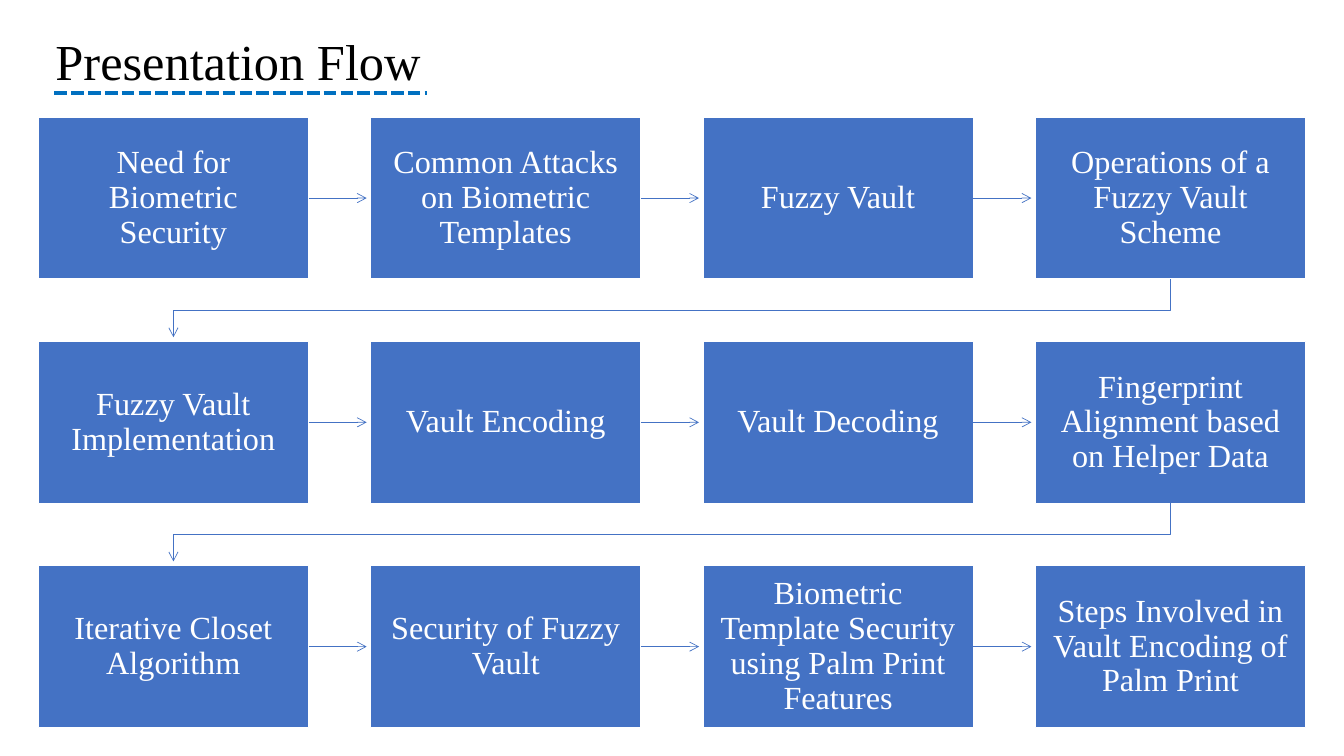
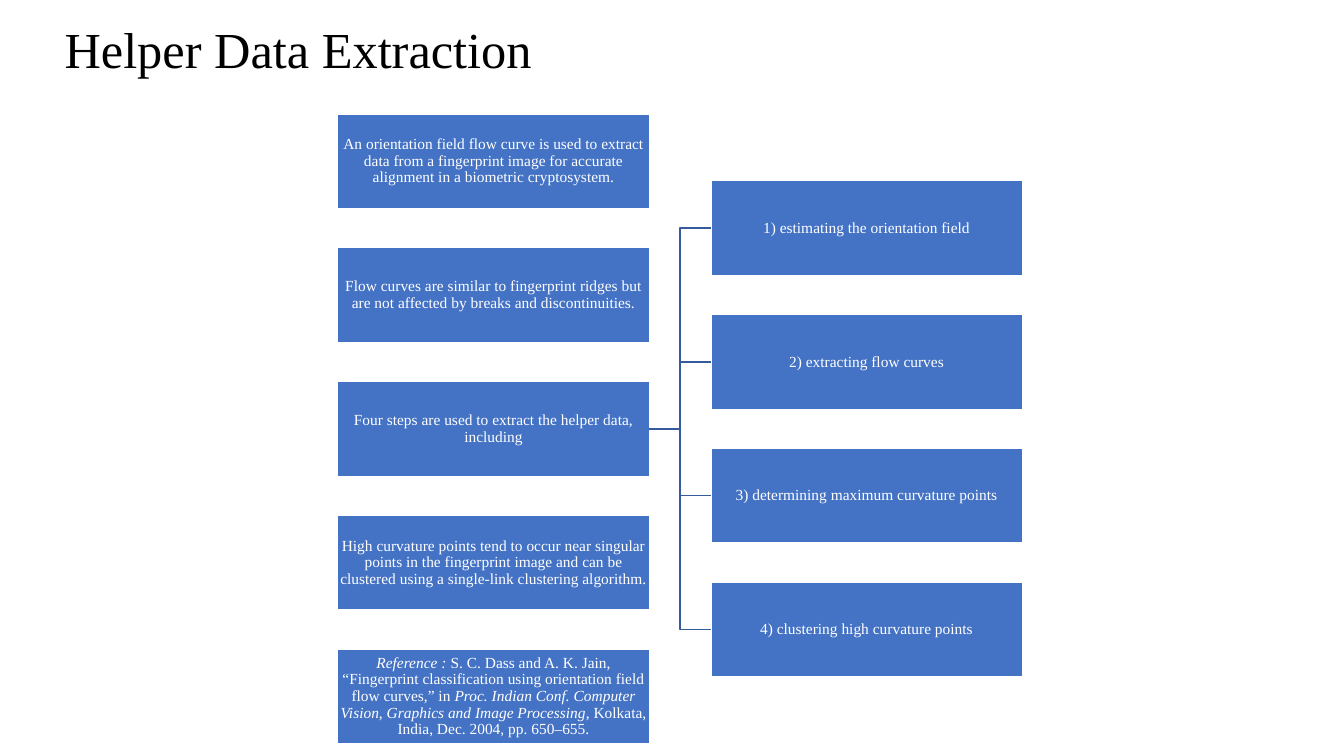
import pptx
import pptx.dml.color
import pptx.enum.dml
import pptx.enum.shapes
import pptx.enum.text
import pptx.oxml
import pptx.oxml.ns
import pptx.util
from lxml import etree

Inches = pptx.util.Inches
RGBColor = pptx.dml.color.RGBColor
Align = pptx.enum.text.PP_ALIGN
Connector = pptx.enum.shapes.MSO_CONNECTOR

# Content
FLOW_TITLE = "Presentation Flow"
FLOW_ROWS = [
    ["Need for Biometric Security", "Common Attacks on Biometric Templates",
     "Fuzzy Vault", "Operations of a Fuzzy Vault Scheme"],
    ["Fuzzy Vault Implementation", "Vault Encoding", "Vault Decoding",
     "Fingerprint Alignment based on Helper Data"],
    ["Iterative Closet Algorithm", "Security of Fuzzy Vault",
     "Biometric Template Security using Palm Print Features",
     "Steps Involved in Vault Encoding of Palm Print"],
]
HELPER_TITLE = "Helper Data Extraction"
# Each statement is a list of (text, italic) runs
STATEMENTS = [
    [("An orientation field flow curve is used to extract data from a fingerprint "
      "image for accurate alignment in a biometric cryptosystem.", False)],
    [("Flow curves are similar to fingerprint ridges but are not affected by "
      "breaks and discontinuities.", False)],
    [("Four steps are used to extract the helper data, including", False)],
    [("High curvature points tend to occur near singular points in the fingerprint "
      "image and can be clustered using a single-link clustering algorithm.", False)],
    [("Reference : ", True),
     ("S. C. Dass and A. K. Jain, “Fingerprint classification using orientation "
      "field flow curves,” in ", False),
     ("Proc. Indian Conf. Computer Vision, Graphics and Image Processing", True),
     (", Kolkata, India, Dec. 2004, pp. 650–655.", False)],
]
STEPS_PARENT = 2
STEPS = ["1) estimating the orientation field", "2) extracting flow curves",
         "3) determining maximum curvature points", "4) clustering high curvature points"]

# Shared style
FONT = "Times New Roman"
BLACK = RGBColor(0x00, 0x00, 0x00)
WHITE = RGBColor(0xFF, 0xFF, 0xFF)
BOX_BLUE = RGBColor(0x44, 0x72, 0xC4)
BRANCH_BLUE = RGBColor(0x36, 0x5B, 0x9D)
RULE_BLUE = RGBColor(0x00, 0x70, 0xC0)
LINE_SPACING = 0.9

# Flow grid, in inches
FLOW_LEFT, FLOW_TOP = 0.38, 1.16
FLOW_WIDTH, FLOW_HEIGHT = 2.68, 1.61
FLOW_COLUMN_STEP, FLOW_ROW_STEP = (10.27 - FLOW_LEFT) / 3, (5.61 - FLOW_TOP) / 2
ARROW_GAP = 0.04

# Helper data tree, in inches
TREE_LEFT, TREE_TOP = 3.35, 1.13
TREE_WIDTH, TREE_HEIGHT = 3.09, 0.94
TREE_COLUMN_STEP, TREE_ROW_STEP = 3.7, (6.44 - TREE_TOP) / 4


def write_runs(paragraph, runs, size, color):
    paragraph.line_spacing = LINE_SPACING
    for text, italic in runs:
        run = paragraph.add_run()
        run.text = text
        font = run.font
        font.name, font.size = FONT, pptx.util.Pt(size)
        font.color.rgb = color
        if italic:
            font.italic = True


def add_titled_slide(presentation, title, left, top):
    slide = presentation.slides.add_slide(presentation.slide_layouts[5])
    shape = slide.shapes.title
    shape.left, shape.top = Inches(left), Inches(top)
    shape.width, shape.height = Inches(12.58), Inches(0.8)
    frame = shape.text_frame
    frame.word_wrap = True
    frame.auto_size = pptx.enum.text.MSO_AUTO_SIZE.NONE
    frame.vertical_anchor = pptx.enum.text.MSO_ANCHOR.MIDDLE
    frame.paragraphs[0].alignment = Align.LEFT
    write_runs(frame.paragraphs[0], [(title, False)], 36, BLACK)
    return slide


def add_box(slide, left, top, width, height, runs, size, inset_x, inset_y):
    shape = slide.shapes.add_shape(
        pptx.enum.shapes.MSO_SHAPE.RECTANGLE,
        Inches(left), Inches(top), Inches(width), Inches(height))
    shape.shadow.inherit = False
    shape.fill.solid()
    shape.fill.fore_color.rgb = BOX_BLUE
    style_line(shape, WHITE, 1)
    frame = shape.text_frame
    frame.word_wrap = True
    frame.vertical_anchor = pptx.enum.text.MSO_ANCHOR.MIDDLE
    frame.margin_left = frame.margin_right = Inches(inset_x)
    frame.margin_top = frame.margin_bottom = Inches(inset_y)
    frame.paragraphs[0].alignment = Align.CENTER
    write_runs(frame.paragraphs[0], runs, size, WHITE)
    return shape


def style_line(shape, color, width):
    shape.line.color.rgb = color
    shape.line.width = pptx.util.Pt(width)


def add_arrowhead(shape):
    line = shape.line._get_or_add_ln()
    etree.SubElement(line, pptx.oxml.ns.qn("a:tailEnd"), type="arrow")


def add_line(slide, kind, start, end, color, width):
    points = [Inches(value) for value in (*start, *end)]
    connector = slide.shapes.add_connector(kind, *points)
    style_line(connector, color, width)
    etree.SubElement(connector._element.spPr, pptx.oxml.ns.qn("a:effectLst"))
    return connector


def add_row_return(slide, start_x, end_x, top, bottom):
    """Arrow from the last box of a row to the first box of the next."""
    middle = (top + bottom + ARROW_GAP) / 2
    builder = slide.shapes.build_freeform(Inches(start_x), Inches(top))
    builder.add_line_segments(
        [(Inches(x), Inches(y)) for x, y in
         ((start_x, middle), (end_x, middle), (end_x, bottom))], close=False)
    shape = builder.convert_to_shape()
    shape.shadow.inherit = False
    shape.fill.background()
    style_line(shape, BOX_BLUE, 0.5)
    add_arrowhead(shape)


def build_flow(presentation):
    slide = add_titled_slide(presentation, FLOW_TITLE, 0.45, 0.24)
    for row, labels in enumerate(FLOW_ROWS):
        top = FLOW_TOP + row * FLOW_ROW_STEP
        for column, label in enumerate(labels):
            left = FLOW_LEFT + column * FLOW_COLUMN_STEP
            add_box(slide, left, top, FLOW_WIDTH, FLOW_HEIGHT,
                    [(label, False)], 23, 0.13, 0.14)
            if column < len(labels) - 1:
                middle = top + FLOW_HEIGHT / 2
                arrow = add_line(slide, Connector.STRAIGHT,
                                 (left + FLOW_WIDTH, middle),
                                 (left + FLOW_COLUMN_STEP - ARROW_GAP, middle),
                                 BOX_BLUE, 0.5)
                add_arrowhead(arrow)
        if row < len(FLOW_ROWS) - 1:
            add_row_return(slide, left + FLOW_WIDTH / 2, FLOW_LEFT + FLOW_WIDTH / 2,
                           top + FLOW_HEIGHT, top + FLOW_ROW_STEP - ARROW_GAP)

    # Dashed rule under the title
    rule = add_line(slide, Connector.STRAIGHT, (0.54, 0.92), (4.24, 0.92), RULE_BLUE, 3)
    rule.line.dash_style = pptx.enum.dml.MSO_LINE.SQUARE_DOT


def build_helper_data(presentation):
    slide = add_titled_slide(presentation, HELPER_TITLE, 0.54, 0.12)

    def add_tree_box(column, row, runs):
        return add_box(slide, TREE_LEFT + column * TREE_COLUMN_STEP,
                       TREE_TOP + row * TREE_ROW_STEP,
                       TREE_WIDTH, TREE_HEIGHT, runs, 11, 0.01, 0.01)

    statements = [add_tree_box(0, row, runs) for row, runs in enumerate(STATEMENTS)]

    # Steps sit half a row lower and branch from their statement
    for row, step in enumerate(STEPS):
        box = add_tree_box(1, row + 0.5, [(step, False)])
        branch = add_line(slide, Connector.ELBOW, (0, 0), (1, 1), BRANCH_BLUE, 1)
        branch.begin_connect(statements[STEPS_PARENT], 3)
        branch.end_connect(box, 1)


def main():
    presentation = pptx.Presentation()
    presentation.slide_width, presentation.slide_height = Inches(13.33), Inches(7.5)
    build_flow(presentation)
    build_helper_data(presentation)
    presentation.save("out.pptx")


if __name__ == "__main__":
    main()
